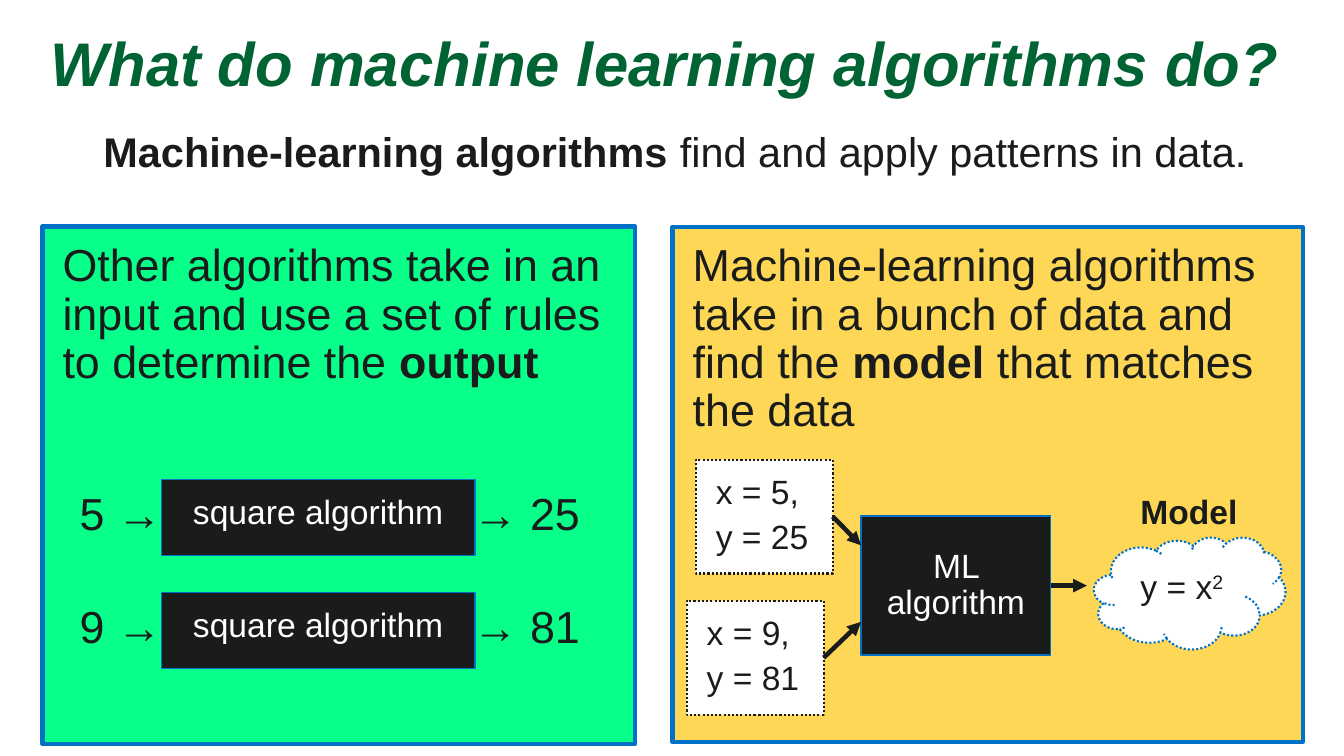
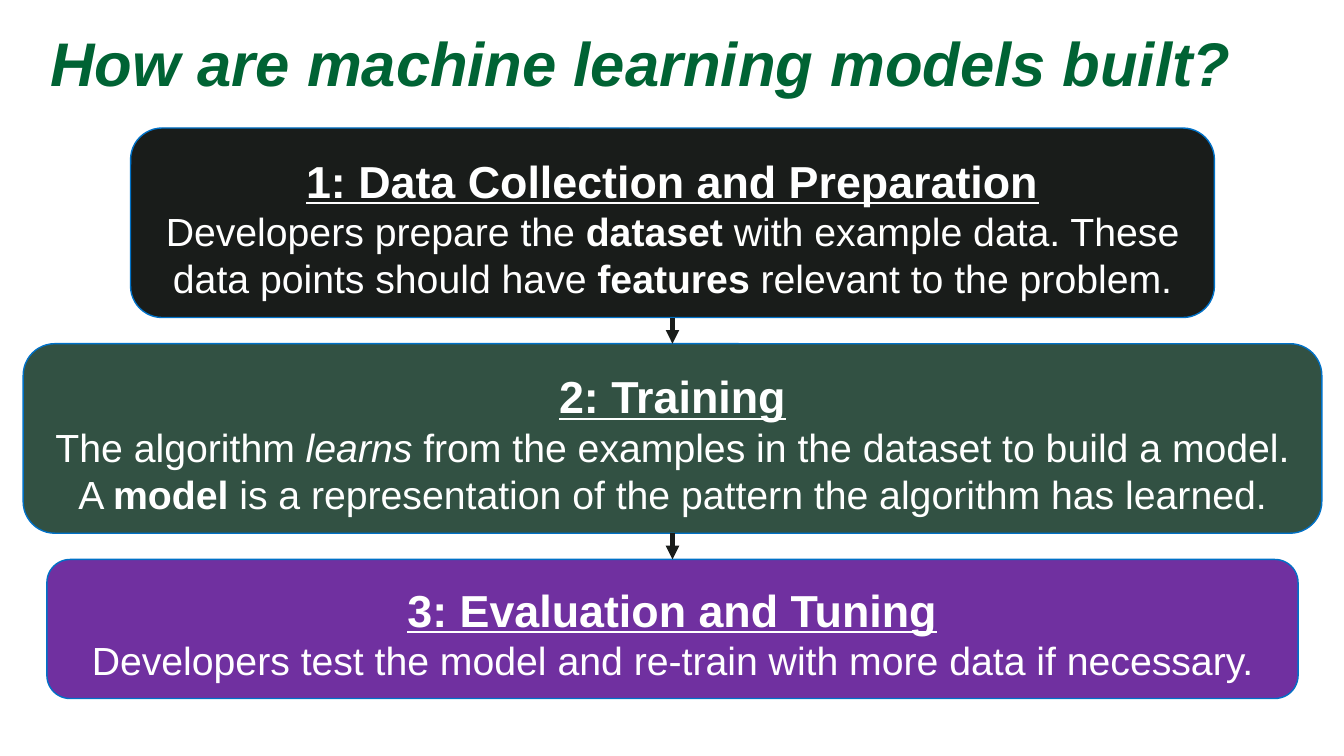
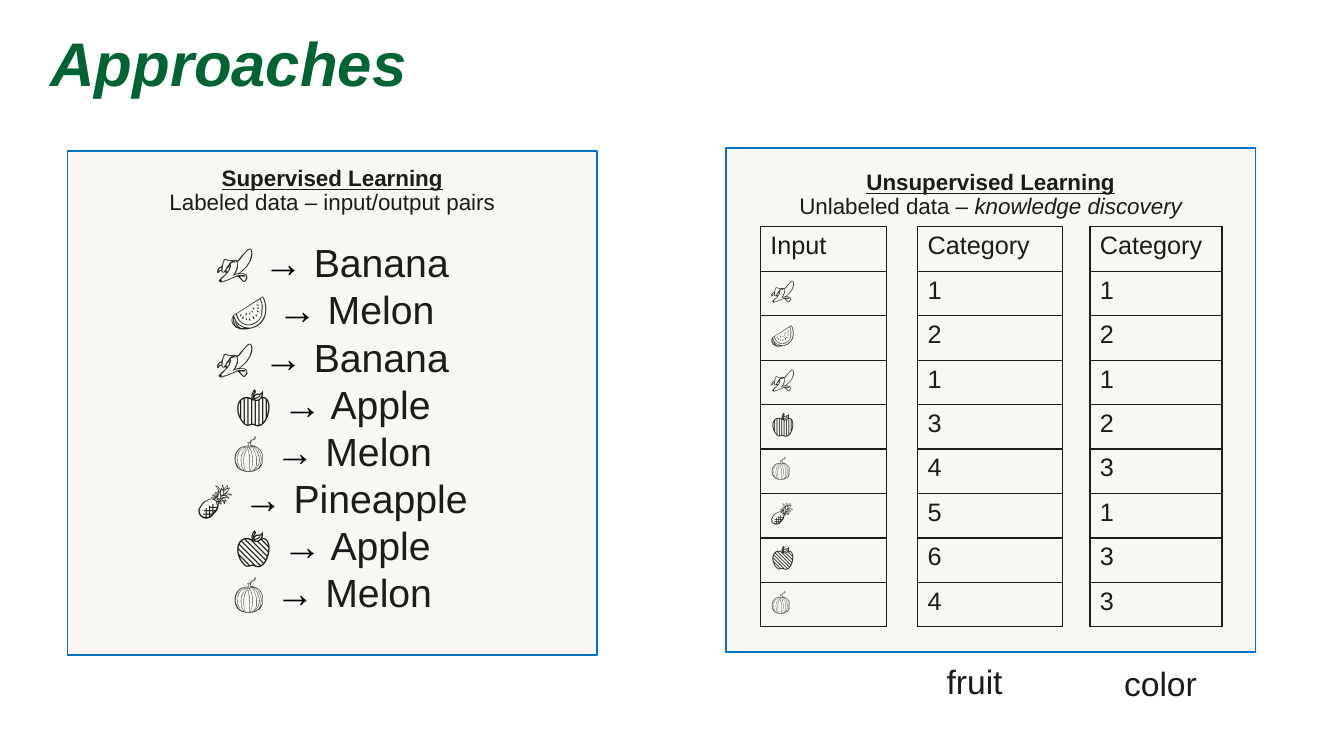
from dataclasses import dataclass

from lxml import etree
from pptx import Presentation
from pptx import util as u
from pptx.dml.color import RGBColor
from pptx.enum import dml, shapes, text
from pptx.oxml import ns

Inches = u.Inches
LEFT, CENTER = text.PP_ALIGN.LEFT, text.PP_ALIGN.CENTER
TOP, MIDDLE = text.MSO_ANCHOR.TOP, text.MSO_ANCHOR.MIDDLE
RECTANGLE = shapes.MSO_SHAPE.RECTANGLE
SIDES = ("lnL", "lnR", "lnT", "lnB")


@dataclass(frozen=True)
class Theme:
    font: str = "Arial"
    arrow_font: str = "Times New Roman"
    title: str = "006334"
    ink: str = "191C1A"
    black: str = "000000"
    white: str = "FFFFFF"
    outline: str = "0071C7"
    green: str = "08FF8A"
    yellow: str = "FFD757"
    forest: str = "325143"
    purple: str = "7030A0"
    cream: str = "F8F7F2"
    title_size: float = 44
    lead_size: float = 29.6
    large: float = 32
    step_size: float = 28
    label: float = 24
    cell_size: float = 18
    small: float = 16
    arrow_width: float = 3.25
    insets: tuple = (0.2, 0.16, 0.2, 0.16)
    tight: tuple = (0.1, 0.1, 0.1, 0.1)


THEME = Theme()


def color(value):
    return RGBColor.from_string(value)


def within(box, left, top, width, height):
    """Box measured from the top left corner of another box."""
    return box[0] + left, box[1] + top, width, height


# Text

def write_runs(paragraph, runs, size, ink):
    """Each run is a string, or (string, marks) with marks b, i, u, ^ (raised), > (arrow)."""
    for item in runs:
        content, marks = (item, "") if isinstance(item, str) else item
        run = paragraph.add_run()
        run.text = content
        font = run.font
        font.name = THEME.arrow_font if ">" in marks else THEME.font
        font.size = u.Pt(size)
        font.color.rgb = color(THEME.black if ">" in marks else ink)
        font.bold, font.italic, font.underline = (mark in marks for mark in "biu")
        if "^" in marks:
            font._element.set("baseline", "30000")


def set_frame(frame, anchor=TOP, insets=THEME.insets, wrap=True):
    frame.auto_size = text.MSO_AUTO_SIZE.NONE
    frame.word_wrap = wrap
    frame.vertical_anchor = anchor
    (frame.margin_left, frame.margin_top,
     frame.margin_right, frame.margin_bottom) = map(Inches, insets)


def write(shape, paragraphs, size, ink=THEME.ink, align=LEFT, spacing=0.9, after=0,
          anchor=TOP, insets=THEME.insets, wrap=True):
    frame = shape.text_frame
    set_frame(frame, anchor, insets, wrap)
    for index, runs in enumerate(paragraphs):
        paragraph = frame.paragraphs[0] if index == 0 else frame.add_paragraph()
        paragraph.alignment = align
        paragraph.line_spacing = spacing
        paragraph.space_before, paragraph.space_after = u.Pt(0), u.Pt(after)
        write_runs(paragraph, runs, size, ink)
    return frame


# Parts

def place(shape, box):
    shape.left, shape.top, shape.width, shape.height = map(Inches, box)


def add_box(slide, box, fill, line=THEME.outline, width=1, kind=RECTANGLE, dotted=False):
    shape = slide.shapes.add_shape(kind, *map(Inches, box))
    shape.shadow.inherit = False
    shape.fill.solid()
    shape.fill.fore_color.rgb = color(fill)
    shape.line.color.rgb = color(line)
    shape.line.width = u.Pt(width)
    if dotted:
        shape.line.dash_style = dml.MSO_LINE.ROUND_DOT
    return shape


def add_label(slide, box, runs, insets=THEME.tight):
    label = slide.shapes.add_textbox(*map(Inches, box))
    write(label, [runs], THEME.label, after=6, insets=insets, wrap=False)


def add_arrow(slide, source, side, end, target=None):
    """Arrow from a side of the source to a point, or to the top of the target."""
    connector = slide.shapes.add_connector(
        shapes.MSO_CONNECTOR.STRAIGHT, 0, 0, *map(Inches, end))
    connector.begin_connect(source, side)
    if target is not None:
        connector.end_connect(target, 0)
    connector.line.color.rgb = color(THEME.ink)
    connector.line.width = u.Pt(THEME.arrow_width)
    line = connector.line._get_or_add_ln()
    etree.SubElement(line, ns.qn("a:tailEnd"), type="triangle")
    etree.SubElement(connector._element.spPr, ns.qn("a:effectLst"))


def add_slide(presentation, layout, title):
    slide = presentation.slides.add_slide(presentation.slide_layouts[layout])
    place(slide.shapes.title, (0, 0, 12.91, 1.25))
    write(slide.shapes.title, [[(title, "bi")]], THEME.title_size, THEME.title,
          spacing=0.85, anchor=MIDDLE, insets=(0.5, 0.1, 0.1, 0))
    return slide


# Slide 1: two kinds of algorithm

def lead_sentence(slide, box):
    body = slide.placeholders[1]
    place(body, box)
    properties = body.text_frame.paragraphs[0]._p.get_or_add_pPr()
    properties.set("marL", str(Inches(0.06)))
    properties.set("indent", "0")
    etree.SubElement(properties, ns.qn("a:buNone"))
    write(body, [[("Machine-learning algorithms", "b"), " find and apply patterns in data."]],
          THEME.lead_size, align=CENTER, spacing=0.8, after=6, insets=THEME.tight)


def rules_panel(slide, box):
    panel = add_box(slide, box, THEME.green, width=3.25)
    write(panel, [["Other algorithms take in an input and use a set of rules to determine the ",
                   ("output", "b")]], THEME.large, after=6)

    # Inputs and outputs on either side of the algorithm boxes
    values = slide.shapes.add_textbox(*map(Inches, within(box, 0.17, 2.47, 5.53, 1.95)))
    frame = values.text_frame
    set_frame(frame)
    for row, (given, result) in enumerate([(5, 25), (9, 81)]):
        paragraph = frame.add_paragraph() if row else frame.paragraphs[0]
        tabs = etree.SubElement(paragraph._p.get_or_add_pPr(), ns.qn("a:tabLst"))
        etree.SubElement(tabs, ns.qn("a:tab"), pos=str(Inches(3.9)), algn="l")
        paragraph.line_spacing = 0.9
        paragraph.space_before = u.Pt(46 * row)
        write_runs(paragraph, [f"{given} →\t→ {result}"], THEME.large, THEME.ink)
        algorithm = add_box(slide, within(box, 1.18, 2.51 + 1.12 * row, 3.11, 0.75), THEME.ink)
        write(algorithm, [["square algorithm"]], THEME.label, THEME.white, CENTER)


def learning_panel(slide, box):
    panel = add_box(slide, box, THEME.yellow, width=3)
    write(panel, [["Machine-learning algorithms take in a bunch of data and find the ",
                   ("model", "b"), " that matches the data"]], THEME.large, after=6)

    algorithm = add_box(slide, within(box, 1.87, 2.87, 1.88, 1.38), THEME.ink)
    write(algorithm, [["ML algorithm"]], THEME.label, THEME.white, CENTER, anchor=MIDDLE)

    # Data points feeding the algorithm
    for x, y, left, top, entry in [(5, 25, 0.23, 2.31, 3.16), (9, 81, 0.14, 3.71, 3.92)]:
        point = add_box(slide, within(box, left, top, 1.36, 1.13), THEME.white, THEME.ink,
                        1.5, dotted=True)
        write(point, [[f"x = {x},"], [f"y = {y}"]], THEME.label, after=6)
        add_arrow(slide, point, 3, (box[0] + 1.87, box[1] + entry))

    # Resulting model
    add_arrow(slide, algorithm, 3, (box[0] + 4.11, box[1] + 3.56))
    cloud = add_box(slide, within(box, 4.18, 3.08, 1.9, 1.11), THEME.white, width=1.5,
                    kind=shapes.MSO_SHAPE.CLOUD, dotted=True)
    write(cloud, [["y = x", ("2", "^")]], THEME.label, after=6)
    add_label(slide, within(box, 4.44, 2.51, 1.38, 0.69), [("Model", "b")], THEME.insets)


def algorithms_slide(presentation):
    slide = add_slide(presentation, 1, "What do machine learning algorithms do?")
    lead_sentence(slide, (0.42, 1.25, 12.5, 0.62))
    rules_panel(slide, (0.42, 2.25, 5.88, 5.13))
    learning_panel(slide, (6.67, 2.25, 6.25, 5.11))


# Slide 2: chain of steps

STEPS = [
    ("1: Data Collection and Preparation", THEME.ink, 10.75, 1.88,
     ["Developers prepare the ", ("dataset", "b"),
      " with example data. These data points should have ", ("features", "b"),
      " relevant to the problem."]),
    ("2: Training", THEME.forest, 12.88, 1.88,
     ["The algorithm ", ("learns", "i"),
      " from the examples in the dataset to build a model. A ", ("model", "b"),
      " is a representation of the pattern the algorithm has learned."]),
    ("3: Evaluation and Tuning", THEME.purple, 12.41, 1.38,
     ["Developers test the model and re-train with more data if necessary."]),
]


def step_chain(slide, center, top, gap):
    previous = None
    for heading, fill, width, height, description in STEPS:
        step = add_box(slide, (center - width / 2, top, width, height), fill,
                       kind=shapes.MSO_SHAPE.ROUNDED_RECTANGLE)
        frame = write(step, [[(heading, "bu")], description], THEME.step_size, THEME.white,
                      CENTER, spacing=1.0)
        frame.paragraphs[0].runs[0].font.size = u.Pt(THEME.large)
        if previous is not None:
            add_arrow(slide, previous, 2, (center, top), step)
        previous = step
        top += height + gap


def building_slide(presentation):
    slide = add_slide(presentation, 5, "How are machine learning models built?")
    step_chain(slide, 6.67, 1.27, 0.26)


# Slide 3: supervised and unsupervised learning

FRUITS = [("🍌", "Banana"), ("🍉", "Melon"), ("🍌", "Banana"), ("🍎", "Apple"),
          ("🍈", "Melon"), ("🍍", "Pineapple"), ("🍏", "Apple"), ("🍈", "Melon")]


def approach_panel(slide, box, heading, description, top_inset):
    panel = add_box(slide, box, THEME.cream)
    return write(panel, [[(heading, "bu")], description], THEME.small, align=CENTER,
                 insets=(0.1, top_inset, 0.1, 0.1))


def supervised_panel(slide, box):
    frame = approach_panel(slide, box, "Supervised Learning",
                           ["Labeled data – input/output pairs"], 0.16)
    for row, (picture, name) in enumerate(FRUITS):
        paragraph = frame.add_paragraph()
        paragraph.alignment = CENTER
        paragraph.space_before = u.Pt(0 if row else 16.5)
        write_runs(paragraph, [picture, (" →", ">"), f" {name}"], THEME.step_size, THEME.ink)


def column_table(slide, box, values):
    graphic = slide.shapes.add_table(len(values), 1, *map(Inches, box))
    table = graphic.table
    table.first_row = table.horz_banding = False
    for row, value in enumerate(values):
        table.rows[row].height = Inches(box[3] / len(values))
        cell = table.cell(row, 0)
        properties = cell._tc.get_or_add_tcPr()
        for side in SIDES:
            border = etree.SubElement(properties, ns.qn(f"a:{side}"), w=str(u.Pt(1)))
            fill = etree.SubElement(border, ns.qn("a:solidFill"))
            etree.SubElement(fill, ns.qn("a:srgbClr"), val=THEME.ink)
        cell.fill.background()
        write_runs(cell.text_frame.paragraphs[0], [value], THEME.cell_size, THEME.ink)


def unsupervised_panel(slide, box):
    approach_panel(slide, box, "Unsupervised Learning",
                   ["Unlabeled data – ", ("knowledge discovery", "i")], 0.23)
    columns = [(0.34, 1.25, ["Input"] + [picture for picture, _ in FRUITS]),
               (1.9, 1.44, ["Category", *"12134564"]),
               (3.61, 1.31, ["Category", *"12123133"])]
    for left, width, values in columns:
        column_table(slide, within(box, left, 0.78, width, 3.97), values)
    add_label(slide, within(box, 2.09, 5.03, 0.76, 0.57), ["fruit"])
    add_label(slide, within(box, 3.85, 5.05, 0.93, 0.57), ["color"])


def approaches_slide(presentation):
    slide = add_slide(presentation, 5, "Approaches")
    supervised_panel(slide, (0.67, 1.5, 5.25, 5))
    unsupervised_panel(slide, (7.2, 1.47, 5.25, 5))


def main():
    presentation = Presentation()
    presentation.slide_width, presentation.slide_height = Inches(13.33), Inches(7.5)
    algorithms_slide(presentation)
    building_slide(presentation)
    approaches_slide(presentation)
    presentation.save("out.pptx")


if __name__ == "__main__":
    main()
